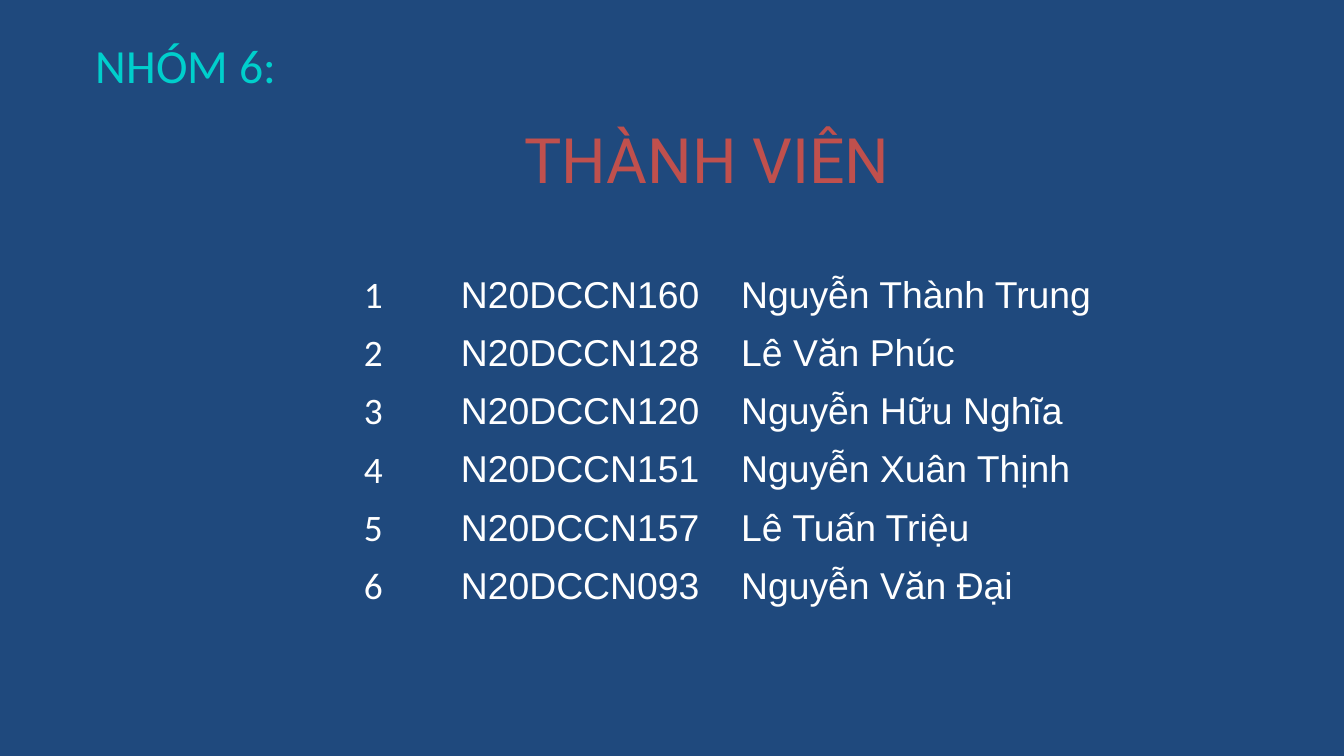
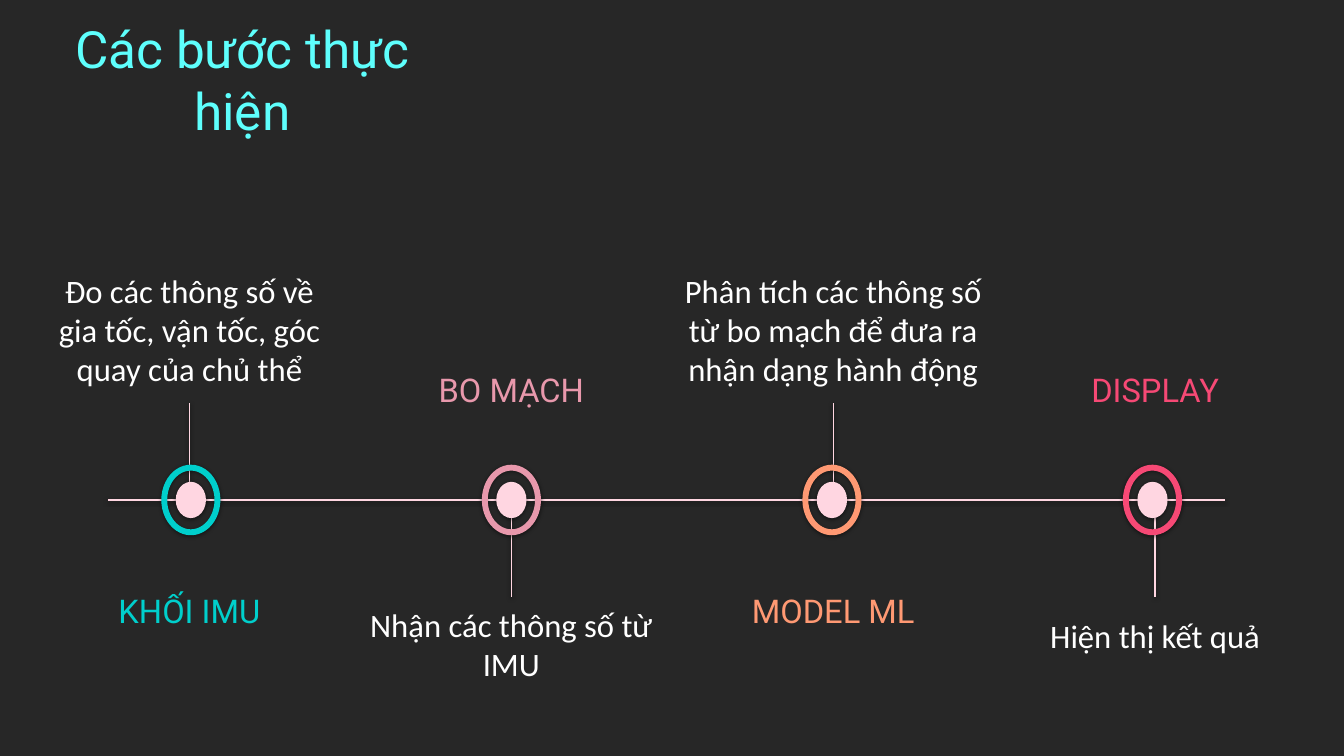
from lxml import etree
from pptx import Presentation
from pptx.dml.color import RGBColor
from pptx.enum.shapes import MSO_CONNECTOR, MSO_SHAPE
from pptx.enum.text import MSO_ANCHOR, PP_ALIGN
from pptx.oxml.ns import qn
from pptx.util import Inches, Pt

LEFT, CENTER = PP_ALIGN.LEFT, PP_ALIGN.CENTER
TOP, MIDDLE, BOTTOM = MSO_ANCHOR.TOP, MSO_ANCHOR.MIDDLE, MSO_ANCHOR.BOTTOM
STRAIGHT = MSO_CONNECTOR.STRAIGHT
OVAL, DONUT = MSO_SHAPE.OVAL, MSO_SHAPE.DONUT

NAVY = RGBColor(0x1F, 0x49, 0x7D)
CHARCOAL = RGBColor(0x27, 0x27, 0x27)
WHITE = RGBColor(0xFF, 0xFF, 0xFF)
TEAL = RGBColor(0x00, 0xCF, 0xCC)
AQUA = RGBColor(0x5E, 0xFF, 0xFD)
RED = RGBColor(0xC0, 0x50, 0x4D)
BLUSH = RGBColor(0xFF, 0xD6, 0xE1)
ROSE = RGBColor(0xE8, 0x98, 0xAC)
ORANGE = RGBColor(0xFF, 0x99, 0x73)
CRIMSON = RGBColor(0xF6, 0x49, 0x75)

BODY, DISPLAY, TABLE = "Calibri", "Roboto", "Arial"

# The slide is a grid of 20 columns and 11.25 rows
COLS, ROWS = 20, 11.25
W, H = Inches(20), Inches(11.25)
PAD = Inches(0.1)

MEMBERS = [
    ("N20DCCN160", "Nguyễn Thành Trung"),
    ("N20DCCN128", "Lê Văn Phúc"),
    ("N20DCCN120", "Nguyễn Hữu Nghĩa"),
    ("N20DCCN151", "Nguyễn Xuân Thịnh"),
    ("N20DCCN157", "Lê Tuấn Triệu"),
    ("N20DCCN093", "Nguyễn Văn Đại"),
]
TABLE_ROWS = 9
MEMBER_COLS = (2.41, 4.17, 5.76)

# label, label width, colour, description, its width, its gap to the axis
STEPS = [
    ("KHỐI IMU", 3.02, TEAL,
     "Đo các thông số về gia tốc, vận tốc, góc quay của chủ thể", 4.42, 1.56),
    ("BO MẠCH", 3.02, ROSE, "Nhận các thông số từ IMU", 4.96, 1.46),
    ("MODEL ML", 3.72, ORANGE,
     "Phân tích các thông số từ bo mạch để đưa ra nhận dạng hành động", 4.96, 1.56),
    ("DISPLAY", 3.02, CRIMSON, "Hiện thị kết quả", 4.42, 1.62),
]


def gx(columns):
    return round(W * columns / COLS)


def gy(rows):
    return round(H * rows / ROWS)


def grid(x, y, w, h):
    return gx(x), gy(y), gx(w), gy(h)


def add_shadow(parent):
    """Append a soft downward shadow to shape properties."""
    effects = etree.SubElement(parent, qn("a:effectLst"))
    shadow = etree.SubElement(effects, qn("a:outerShdw"), blurRad=str(Pt(4.5)),
                              dist=str(Pt(1.5)), dir="5400000",
                              algn="ctr", rotWithShape="0")
    color = etree.SubElement(shadow, qn("a:srgbClr"), val="000000")
    etree.SubElement(color, qn("a:alpha"), val="50000")
    return effects


def write(tf, text, size, font, color, align=LEFT, shadow=False):
    p = tf.paragraphs[0]
    p.alignment = align
    r = p.add_run()
    r.text = text
    r.font.size = Pt(size)
    r.font.color.rgb = color
    if shadow:
        add_shadow(r.font.fill._xPr)
    r.font.name = font


def add_text(slide, box, text, size, font, color, align=CENTER, anchor=TOP,
             shadow=False):
    tf = slide.shapes.add_textbox(*grid(*box)).text_frame
    tf.word_wrap = True
    tf.vertical_anchor = anchor
    tf.margin_left = tf.margin_right = tf.margin_top = tf.margin_bottom = PAD
    write(tf, text, size, font, color, align, shadow)


def add_line(slide, x1, y1, x2, y2):
    line = slide.shapes.add_connector(STRAIGHT, gx(x1), gy(y1), gx(x2), gy(y2))
    line.line.color.rgb = BLUSH
    line.line.width = Pt(1.5)
    add_shadow(line._element.spPr)


def add_marker(slide, cx, cy, color):
    """A dot inside a ring, centred on a point of the axis."""
    group = slide.shapes.add_group_shape()
    for kind, w, h, fill in ((OVAL, 0.45, 0.54, BLUSH), (DONUT, 0.88, 1.05, color)):
        sp = group.shapes.add_shape(kind, *grid(cx - w / 2, cy - h / 2, w, h))
        if kind == DONUT:
            sp.adjustments[0] = 0.1
        sp.fill.solid()
        sp.fill.fore_color.rgb = fill
        sp.line.fill.background()
        add_shadow(sp._element.spPr)


def clear_cell(cell):
    """Remove the borders and the fill of a table cell."""
    props = cell._tc.get_or_add_tcPr()
    for side in ("lnL", "lnR", "lnT", "lnB"):
        border = etree.SubElement(props, qn("a:" + side))
        etree.SubElement(border, qn("a:noFill"))
    cell.fill.background()


def member_table(slide, x, y, w, h):
    table = slide.shapes.add_table(TABLE_ROWS, len(MEMBER_COLS),
                                   *grid(x, y, w, h)).table
    table.first_row = table.horz_banding = False
    for column, width in zip(table.columns, MEMBER_COLS):
        column.width = gx(width)
    for cell in table.iter_cells():
        clear_cell(cell)
        cell.vertical_anchor = MIDDLE
        cell.margin_left = cell.margin_right = PAD
        cell.margin_top = cell.margin_bottom = PAD
    for i, (code, name) in enumerate(MEMBERS):
        values = ((str(i + 1), BODY, CENTER), (code, TABLE, LEFT), (name, TABLE, LEFT))
        for j, (text, font, align) in enumerate(values):
            write(table.cell(i, j).text_frame, text, 40, font, WHITE, align)


def timeline(slide, x, y, w, pitch):
    """Steps along a horizontal axis at y, described above and below in turn."""
    first = x + 1.21
    centers = [first + i * pitch for i in range(len(STEPS))]
    sides = [-1 if i % 2 == 0 else 1 for i in range(len(STEPS))]

    # Stems, then the axis, then the markers over both
    for cx, side in zip(centers, sides):
        add_line(slide, cx, y + min(side * 0.16, side * 1.44),
                 cx, y + max(side * 0.16, side * 1.44))
    add_line(slide, x, y, x + w, y)
    for i, step in enumerate(STEPS):
        add_marker(slide, first + 0.02 + i * (pitch - 0.02), y, step[2])

    # Descriptions on the stem side, labels opposite
    text_h, label_h = 1.82, 1.21
    for cx, side, step in zip(centers, sides, STEPS):
        label, label_w, color, description, text_w, gap = step
        top = y + gap if side > 0 else y - gap - text_h
        add_text(slide, (cx - text_w / 2, top, text_w, text_h), description, 35,
                 BODY, WHITE, anchor=TOP if side > 0 else BOTTOM, shadow=True)
        add_text(slide, (cx - label_w / 2, y - side * 1.65 - label_h / 2, label_w, label_h),
                 label, 35, DISPLAY, color, anchor=MIDDLE, shadow=True)


def new_slide(prs, color):
    slide = prs.slides.add_slide(prs.slide_layouts[6])
    slide.background.fill.solid()
    slide.background.fill.fore_color.rgb = color
    return slide


def members_slide(prs):
    slide = new_slide(prs, NAVY)
    add_text(slide, (1.33, 0.43, 8.43, 1.06), "NHÓM 6:", 51, BODY, TEAL, LEFT)
    add_text(slide, (4.97, 1.68, 11.1, 1.33), "THÀNH VIÊN", 67, DISPLAY, RED,
             anchor=BOTTOM)
    member_table(slide, 4.35, 3.96, sum(MEMBER_COLS), 7.49)


def steps_slide(prs):
    slide = new_slide(prs, CHARCOAL)
    add_text(slide, (0.61, 0.56, 5.99, 1.63), "Các bước thực hiện", 55, DISPLAY,
             AQUA, anchor=BOTTOM, shadow=True)
    timeline(slide, 1.61, 7.44, 16.62, 4.79)


def main():
    prs = Presentation()
    prs.slide_width, prs.slide_height = W, H
    members_slide(prs)
    steps_slide(prs)
    prs.save("out.pptx")


if __name__ == "__main__":
    main()
